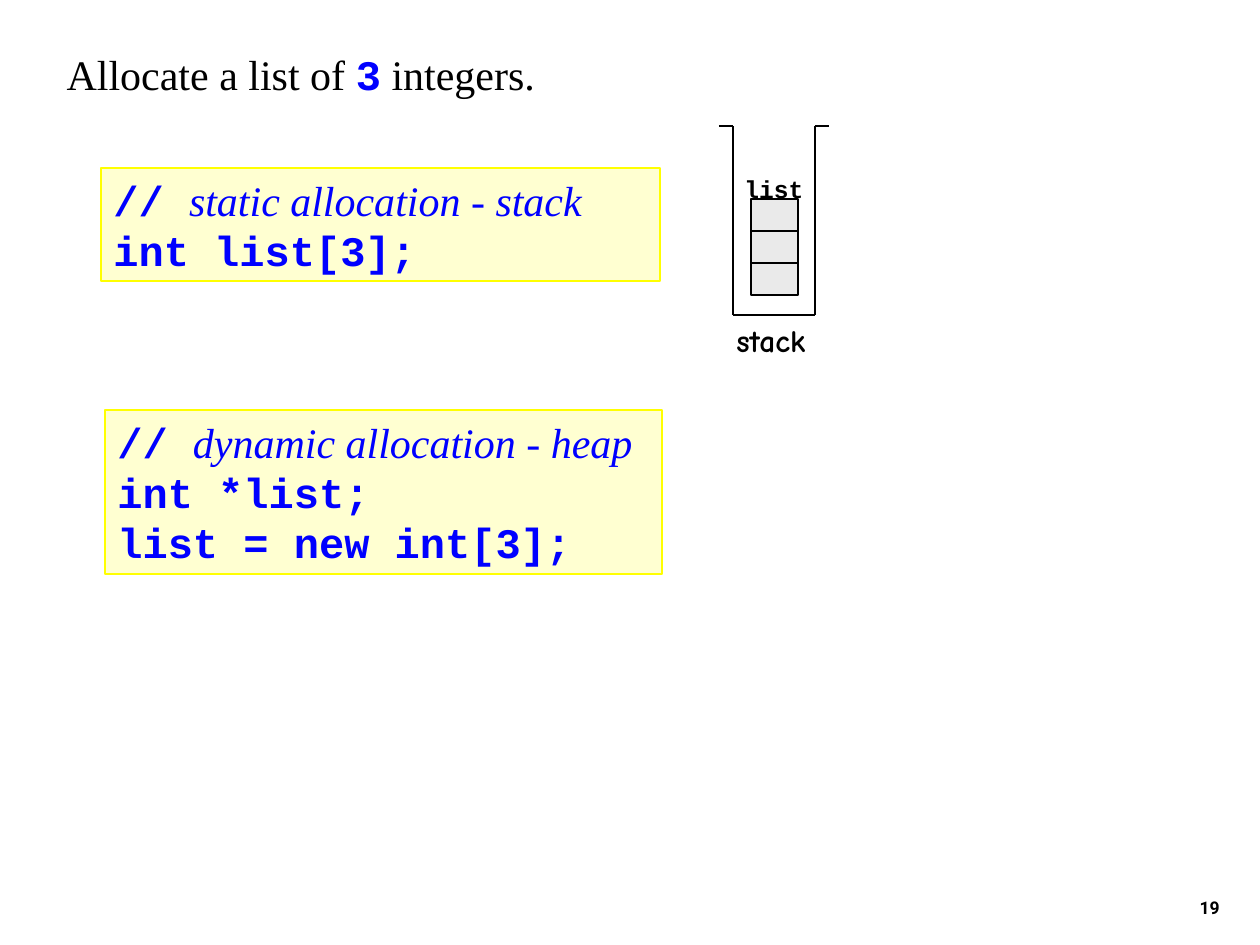
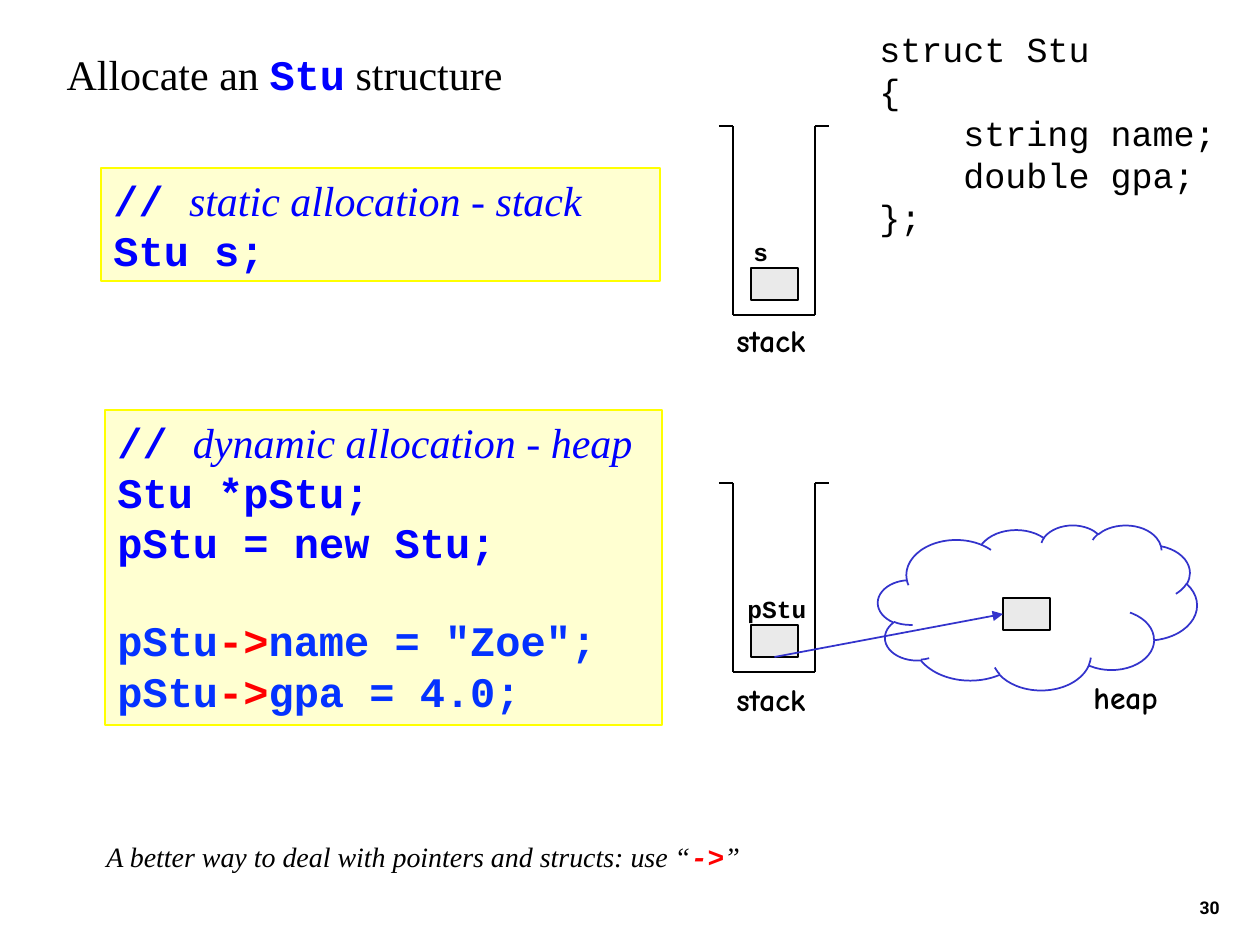
from itertools import pairwise

from lxml import etree
from pptx import Presentation
from pptx.dml.color import RGBColor
from pptx.enum.shapes import MSO_CONNECTOR, MSO_SHAPE
from pptx.enum.text import MSO_ANCHOR, PP_ALIGN
from pptx.oxml.ns import qn
from pptx.util import Emu, Pt

RECT, CLOUD = MSO_SHAPE.RECTANGLE, MSO_SHAPE.CLOUD
STRAIGHT = MSO_CONNECTOR.STRAIGHT
LEFT, RIGHT = PP_ALIGN.LEFT, PP_ALIGN.RIGHT
TOP, BOTTOM = MSO_ANCHOR.TOP, MSO_ANCHOR.BOTTOM

BLACK, BLUE, BRIGHT, RED = "000000", "0000FF", "0432FF", "FF0000"
CREAM, YELLOW, GREY, INDIGO = "FFFFD1", "FFFF00", "EAEAEA", "3333CC"
SERIF, MONO, HAND, SANS = "Times New Roman", "Courier New", "Comic Neue", "Roboto"

# Run styles
PLAIN = dict(font=SERIF, color=BLACK)
NOTE = dict(font=SERIF, color=BLACK, italic=True)
COMMENT = dict(font=SERIF, color=BLUE, italic=True)
CODE = dict(font=MONO, color=BLUE, bold=True)
FIELD = dict(font=MONO, color=BRIGHT, bold=True)
ARROW = dict(font=MONO, color=RED, bold=True)
NOTE_ARROW = dict(ARROW, italic=True)
STRUCT = dict(font=MONO, color=BLACK)
NAME = dict(font=MONO, color=BLACK, bold=True)
LABEL = dict(font=HAND, color=BLACK, bold=True)
NUMBER = dict(font=SANS, color=BLACK, bold=True)

# Layout in pixels, 126 to the inch
SLIDE_SIZE = (1260, 945)
STATIC_BOX = (101, 168, 559, 113)
DYNAMIC_LEFT, DYNAMIC_TOP, DYNAMIC_WIDTH = 105, 410, 557
WELL_LEFT, WELL_RIGHT, LIP, WELL_DEPTH = 733, 815, 14, 189
CELL_LEFT, CELL_W, CELL_H = 751, 47, 32
HEAP_CELL = (1003, 598)
CLOUD_BOX = (878, 525, 319, 165)
STRUCT_INDENT = 84

# A paragraph is a list of (text, style) runs
STATIC_HEAD = [("// ", CODE), ("static allocation - stack", COMMENT)]
DYNAMIC_HEAD = [("// ", CODE), ("dynamic allocation - heap", COMMENT)]

SLIDES = [
    dict(
        number="19",
        title=[("Allocate a list of ", PLAIN), ("3", CODE), (" integers.", PLAIN)],
        static=[STATIC_HEAD, [("int list[3];", CODE)]],
        dynamic=[DYNAMIC_HEAD, [("int *list;", CODE)], [("list = new int[3];", CODE)]],
        dynamic_height=164,
        wells=[dict(top=126, cells=3, cell_top=199, name="list", name_at=(732, 168),
                    label_top=315)],
    ),
    dict(
        number="30",
        title=[("Allocate an ", PLAIN), ("Stu", CODE), (" structure", PLAIN)],
        static=[STATIC_HEAD, [("Stu s;", CODE)]],
        dynamic=[
            DYNAMIC_HEAD,
            [("Stu *pStu;", CODE)],
            [("pStu = new Stu;", CODE)],
            [("pStu", FIELD), ("->", ARROW), ('name = "Zoe";', FIELD)],
            [("pStu", FIELD), ("->", ARROW), ("gpa = 4.0;", FIELD)],
        ],
        dynamic_height=315,
        gap_before=3,
        wells=[
            dict(top=126, cells=1, cell_top=268, name="s", name_at=(741, 231),
                 label_top=315),
            dict(top=483, cells=1, cell_top=625, name="pStu", name_at=(735, 588),
                 label_top=674, heap=True),
        ],
        struct=["struct Stu", "{", "string name;", "double gpa;", "};"],
        members=(2, 3),
        note=[("A better way to deal with pointers and structs: use “", NOTE),
              ("->", NOTE_ARROW), ("”", NOTE)],
    ),
]


def px(n):
    """Turn pixels into EMU."""
    return Emu(round(n * 914400 / 126))


def rgb(color):
    """Turn a hex string into a colour."""
    return RGBColor.from_string(color)


def write(sp, paragraphs, size, align=LEFT, anchor=TOP, wrap=True, gap_before=None,
          indented=(), indent=0):
    """Fill a shape with paragraphs of styled runs."""
    tf = sp.text_frame
    tf.word_wrap = wrap
    tf.vertical_anchor = anchor
    for i, runs in enumerate(paragraphs):
        p = tf.paragraphs[0] if i == 0 else tf.add_paragraph()
        p.alignment = align
        if i == gap_before:
            p.space_before = Pt(size * 1.13)
        if i in indented:
            p._p.get_or_add_pPr().set("marL", str(px(indent)))
        for text, style in runs:
            r = p.add_run()
            r.text = text
            r.font.size = Pt(size)
            r.font.name = style["font"]
            r.font.color.rgb = rgb(style["color"])
            r.font.bold = style.get("bold", False)
            r.font.italic = style.get("italic", False)


def add_text(s, box, paragraphs, size, **fmt):
    """Add a text box."""
    sp = s.shapes.add_textbox(*map(px, box))
    write(sp, paragraphs, size, **fmt)


def add_shape(s, kind, box, fill, line, width=0.75):
    """Add a preset shape without shadow; no fill if fill is None."""
    sp = s.shapes.add_shape(kind, *map(px, box))
    sp.shadow.inherit = False
    if fill:
        sp.fill.solid()
        sp.fill.fore_color.rgb = rgb(fill)
    else:
        sp.fill.background()
    sp.line.color.rgb = rgb(line)
    sp.line.width = Pt(width)
    return sp


def add_line(s, start, end, color=BLACK, width=0.75):
    """Add a straight connector without shadow."""
    c = s.shapes.add_connector(STRAIGHT, *map(px, start + end))
    c.line.color.rgb = rgb(color)
    c.line.width = Pt(width)
    etree.SubElement(c._element.spPr, qn("a:effectLst"))
    return c


def add_cell(s, left, top):
    """Add one memory cell."""
    return add_shape(s, RECT, (left, top, CELL_W, CELL_H), GREY, BLACK)


def add_label(s, left, top, text):
    """Name a memory area."""
    add_text(s, (left, top, 116, 50), [[(text, LABEL)]], 18)


def add_heap(s, pointer):
    """Draw the heap cloud and the arrow from the pointer into it."""
    target = add_cell(s, *HEAP_CELL)
    arrow = add_line(s, (775, 656), (1003, 614), INDIGO, 1)
    arrow.begin_connect(pointer, 2)
    arrow.end_connect(target, 1)
    etree.SubElement(arrow.line._get_or_add_ln(), qn("a:tailEnd"), type="triangle")
    add_shape(s, CLOUD, CLOUD_BOX, None, INDIGO, 1)
    add_label(s, 1081, 672, "heap")


def add_well(s, top, cells, cell_top, name, name_at, label_top, heap=False):
    """Draw a stack: open well, cells, variable name and label."""
    bottom = top + WELL_DEPTH
    outline = [(WELL_LEFT - LIP, top), (WELL_LEFT, top), (WELL_LEFT, bottom),
               (WELL_RIGHT, bottom), (WELL_RIGHT, top), (WELL_RIGHT + LIP, top)]
    for start, end in pairwise(outline):
        add_line(s, start, end)
    for i in range(cells):
        cell = add_cell(s, CELL_LEFT, cell_top + i * CELL_H)
    add_text(s, name_at + (84, 43), [[(name, NAME)]], 14, wrap=False)
    add_label(s, 724, label_top, "stack")
    if heap:
        add_heap(s, cell)


def build(prs, data):
    """Build one slide."""
    s = prs.slides.add_slide(prs.slide_layouts[5])
    title = s.shapes.title
    title.left, title.top, title.width, title.height = map(px, (54, 42, 619, 63))
    write(title, [data["title"]], 24)
    write(add_shape(s, RECT, STATIC_BOX, CREAM, YELLOW), data["static"], 24)
    box = (DYNAMIC_LEFT, DYNAMIC_TOP, DYNAMIC_WIDTH, data["dynamic_height"])
    write(add_shape(s, RECT, box, CREAM, YELLOW), data["dynamic"], 24,
          gap_before=data.get("gap_before"))
    for well in data["wells"]:
        add_well(s, **well)
    if "struct" in data:
        add_text(s, (867, 21, 373, 223), [[(t, STRUCT)] for t in data["struct"]], 20,
                 indented=data["members"], indent=STRUCT_INDENT)
    if "note" in data:
        add_text(s, (94, 833, 955, 47), [data["note"]], 16)
    add_text(s, (970, 861, 262, 63), [[(data["number"], NUMBER)]], 10,
             align=RIGHT, anchor=BOTTOM)


prs = Presentation()
prs.slide_width, prs.slide_height = map(px, SLIDE_SIZE)
for data in SLIDES:
    build(prs, data)
prs.save("out.pptx")
